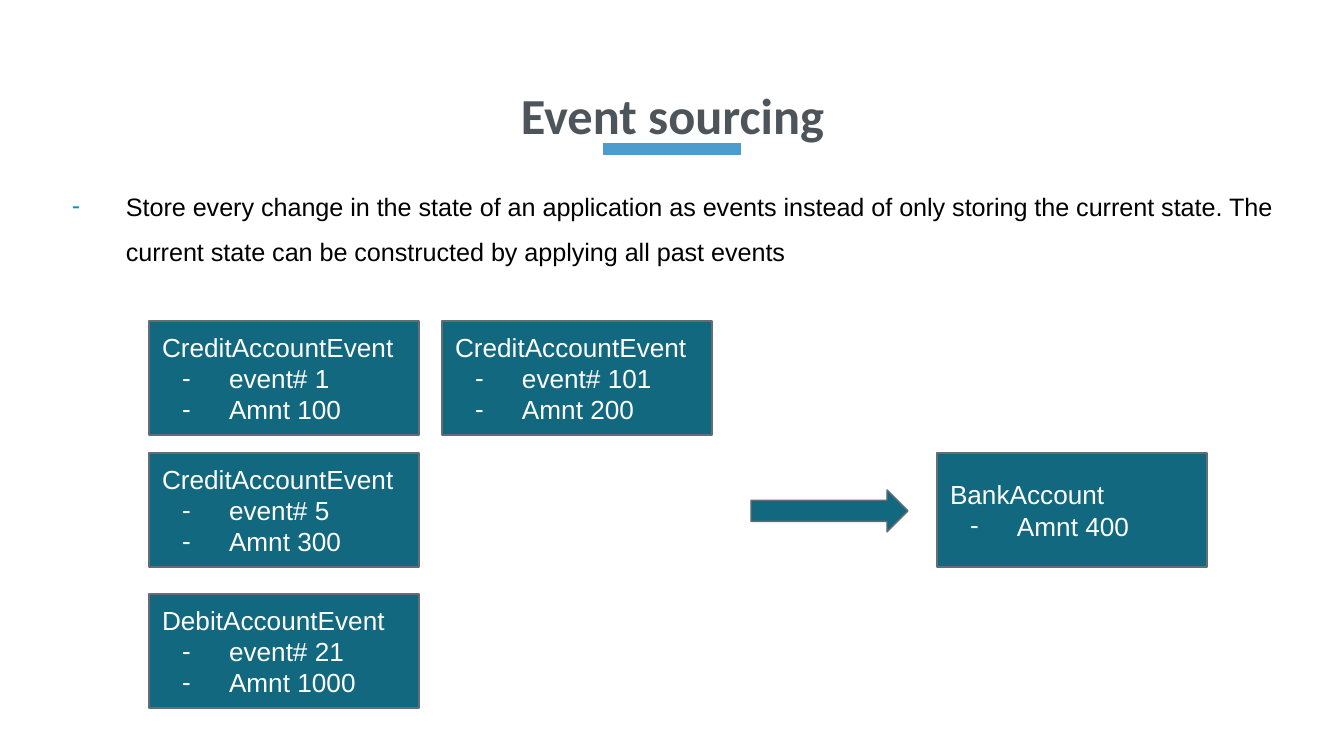
"""Build the event sourcing slide: stored events on the left, resulting account on the right."""
from lxml import etree
from pptx import Presentation
from pptx.dml.color import RGBColor
from pptx.enum.shapes import MSO_CONNECTOR, MSO_SHAPE
from pptx.enum.text import MSO_ANCHOR, MSO_AUTO_SIZE, PP_ALIGN
from pptx.oxml.ns import qn
from pptx.util import Pt

RECTANGLE, RIGHT_ARROW = MSO_SHAPE.RECTANGLE, MSO_SHAPE.RIGHT_ARROW
STRAIGHT = MSO_CONNECTOR.STRAIGHT
TOP, MIDDLE, BOTTOM = MSO_ANCHOR.TOP, MSO_ANCHOR.MIDDLE, MSO_ANCHOR.BOTTOM
LEFT, CENTER = PP_ALIGN.LEFT, PP_ALIGN.CENTER
NO_AUTOFIT = MSO_AUTO_SIZE.NONE

HEADING = "Event sourcing"
SUMMARY = (
    "Store every change in the state of an application as events instead of only "
    "storing the current state. The current state can be constructed by applying "
    "all past events"
)
COLUMNS = {"first": 149, "second": 442, "account": 937}
ROWS = (321, 453, 594)
CARDS = [
    ("first", 0, "CreditAccountEvent", ["event# 1", "Amnt 100"]),
    ("first", 1, "CreditAccountEvent", ["event# 5", "Amnt 300"]),
    ("first", 2, "DebitAccountEvent", ["event# 21", "Amnt 1000"]),
    ("second", 0, "CreditAccountEvent", ["event# 101", "Amnt 200"]),
    ("account", 1, "BankAccount", ["Amnt 400"]),
]
CARD_WIDTH, CARD_HEIGHT = 270, 114
COLORS = {
    "heading": "4D555B",
    "accent": "4C9DCD",
    "dash": "0098C3",
    "body": "000000",
    "card": "11687F",
    "outline": "636D75",
    "card_text": "FFFFFF",
}
EMU_PER_PX = 914400 / 134.4


def px(*lengths):
    return [round(length * EMU_PER_PX) for length in lengths]


def color(name):
    return RGBColor.from_string(COLORS[name])


def set_frame(frame, anchor, side, vertical):
    frame.word_wrap = True
    frame.auto_size = NO_AUTOFIT
    frame.vertical_anchor = anchor
    frame.margin_left = frame.margin_right = px(side)[0]
    frame.margin_top = frame.margin_bottom = px(vertical)[0]


def style_paragraph(paragraph, font_name, size, color_name, align=LEFT, bold=False):
    paragraph.alignment = align
    for run in paragraph.runs:
        run.font.name, run.font.size, run.font.bold = font_name, Pt(size), bold
        run.font.color.rgb = color(color_name)


def add_dash(paragraph, color_name, hanging):
    properties = paragraph._p.get_or_add_pPr()
    margin, indent = px(67, -hanging)
    properties.set("marL", str(margin))
    properties.set("indent", str(indent))
    bullet_color = etree.SubElement(properties, qn("a:buClr"))
    etree.SubElement(bullet_color, qn("a:srgbClr"), val=COLORS[color_name])
    etree.SubElement(properties, qn("a:buFont"), typeface="Arial")
    etree.SubElement(properties, qn("a:buChar"), char="-")


def add_block(slide, preset, left, top, width, height):
    block = slide.shapes.add_shape(preset, *px(left, top, width, height))
    block.shadow.inherit = False
    block.fill.solid()
    block.fill.fore_color.rgb = color("card")
    block.line.color.rgb = color("outline")
    block.line.width = Pt(0.75)
    return block


def add_heading(slide):
    heading = slide.shapes.title
    heading.left, heading.top, heading.width, heading.height = px(46, 66, 1253, 85)
    set_frame(heading.text_frame, BOTTOM, 13, 7)
    heading.text_frame.text = HEADING
    paragraph = heading.text_frame.paragraphs[0]
    paragraph.line_spacing = 0.8
    style_paragraph(paragraph, "Calibri", 27, "heading", CENTER, True)
    underline = slide.shapes.add_connector(STRAIGHT, *px(603, 149, 741, 149))
    underline.line.color.rgb = color("accent")
    underline.line.width = Pt(6)
    etree.SubElement(underline._element.spPr, qn("a:effectLst"))


def add_summary(slide):
    frame = slide.shapes.add_textbox(*px(46, 169, 1253, 120)).text_frame
    set_frame(frame, TOP, 13, 7)
    frame.text = SUMMARY
    paragraph = frame.paragraphs[0]
    paragraph.line_spacing = 1.5
    style_paragraph(paragraph, "Arial", 13.5, "body")
    add_dash(paragraph, "dash", 54)


def add_card(slide, column, row, name, details):
    card = add_block(slide, RECTANGLE, COLUMNS[column], ROWS[row], CARD_WIDTH, CARD_HEIGHT)
    set_frame(card.text_frame, MIDDLE, 13, 13)
    card.text_frame.text = "\n".join([name, *details])
    for index, paragraph in enumerate(card.text_frame.paragraphs):
        style_paragraph(paragraph, "Arial", 14, "card_text")
        if index:
            add_dash(paragraph, "card_text", 47)


def main():
    deck = Presentation()
    deck.slide_width, deck.slide_height = px(1344, 756)
    slide = deck.slides.add_slide(deck.slide_layouts[5])
    add_heading(slide)
    add_summary(slide)
    for card in CARDS:
        add_card(slide, *card)
    add_block(slide, RIGHT_ARROW, 751, 490, 157, 42)
    deck.save("out.pptx")


if __name__ == "__main__":
    main()
